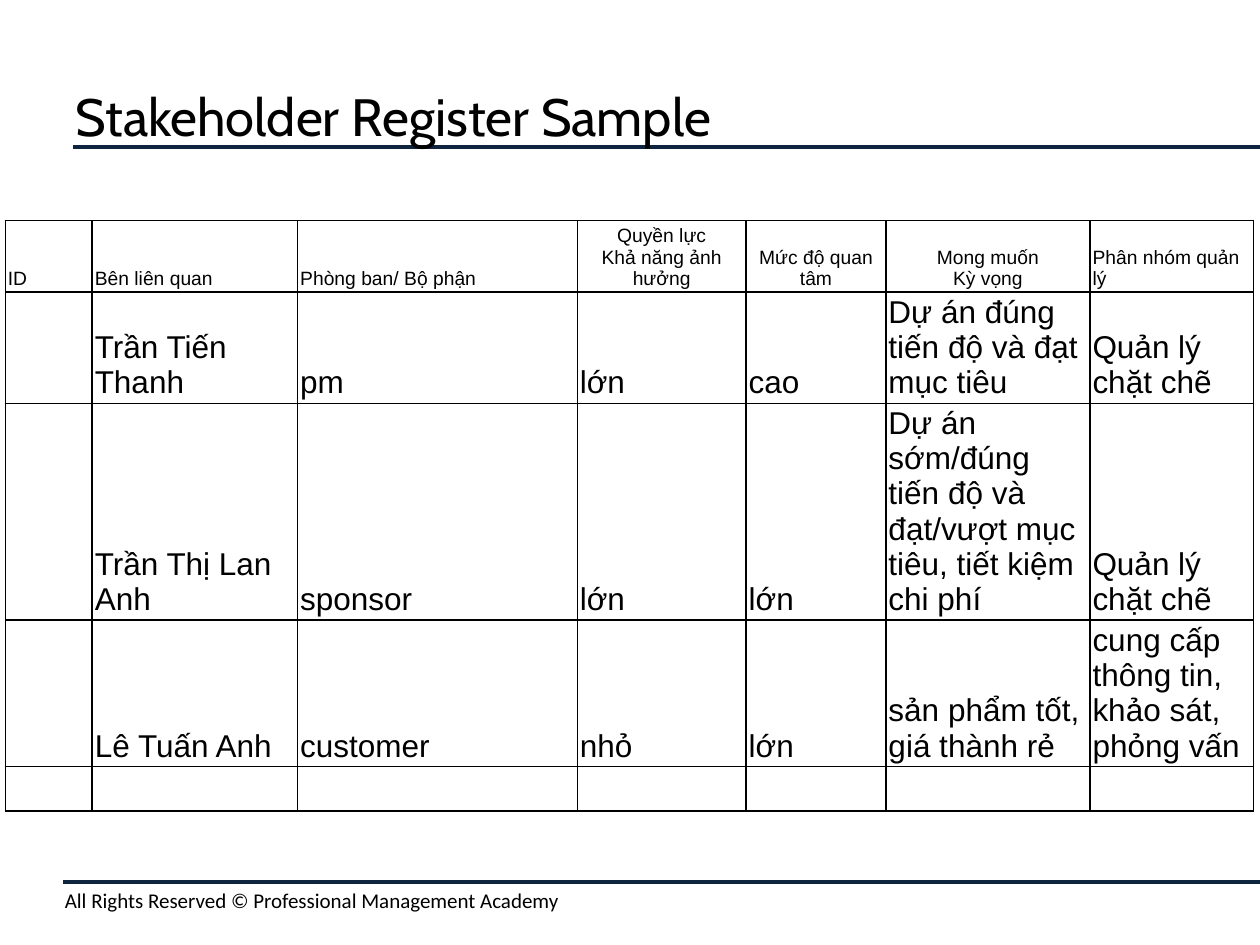
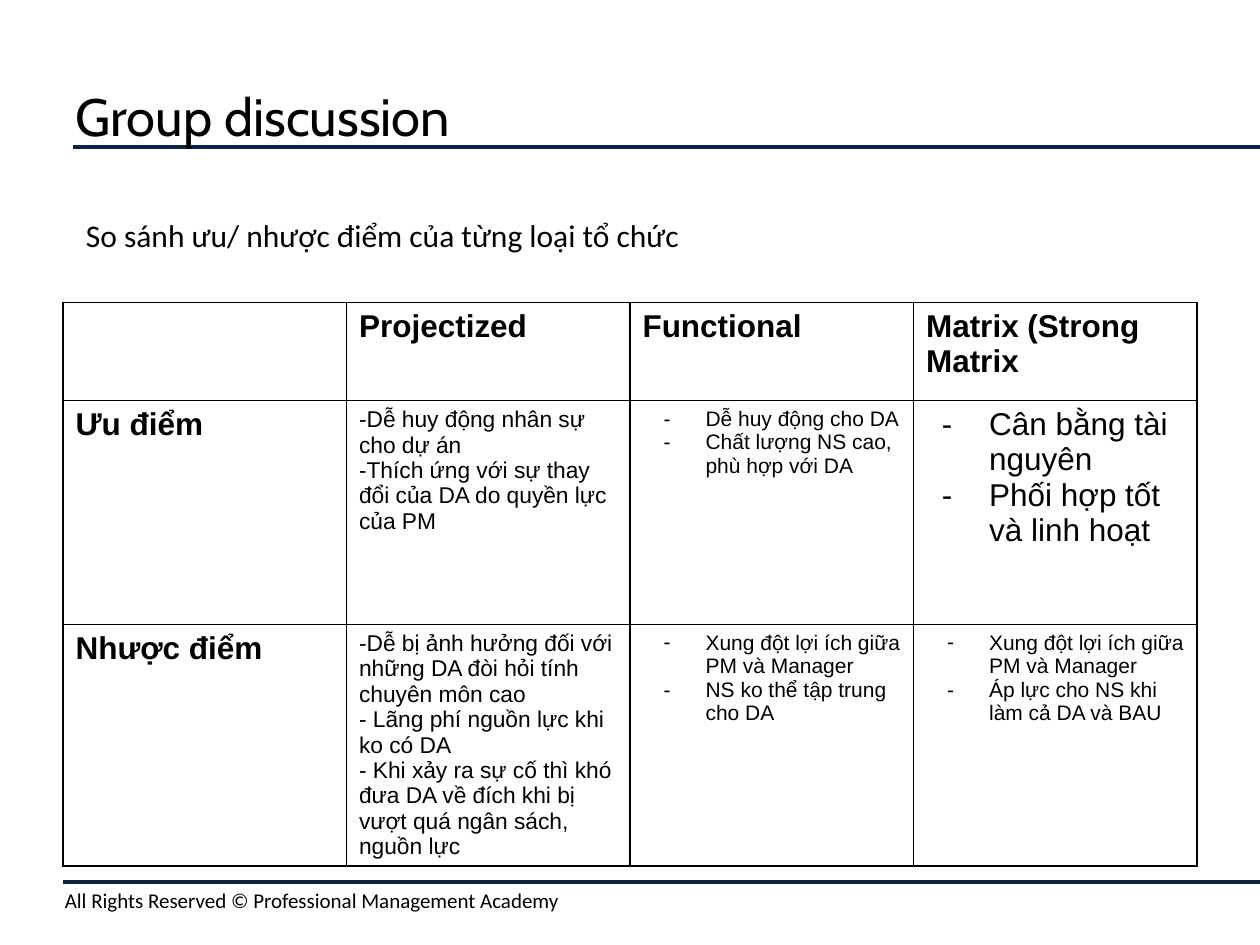
"""Build two project stakeholder slides with shared title, rules and footer."""
from dataclasses import dataclass

import lxml.etree
import pptx
import pptx.dml.color
import pptx.enum.shapes
import pptx.enum.text
import pptx.oxml
import pptx.oxml.ns
import pptx.util

Pt = pptx.util.Pt
Anchor = pptx.enum.text.MSO_ANCHOR
Align = pptx.enum.text.PP_ALIGN
NAVY = "0F243E"
BLACK = "000000"
PAGE_WIDTH = 720
PAGE_HEIGHT = 540
TITLE_LAYOUT = 5
FOOTER = "All Rights Reserved © Professional Management Academy"


@dataclass(frozen=True)
class Rule:
    left: float
    top: float


@dataclass(frozen=True)
class TextStyle:
    size: float
    font: str = "Arial"
    bold: bool = False
    align: Align = Align.LEFT
    dash_hang: float = 0


@dataclass(frozen=True)
class CellText:
    paragraphs: tuple[str, ...]
    style: TextStyle


@dataclass(frozen=True)
class Grid:
    left: float
    top: float
    widths: tuple[float, ...]
    heights: tuple[float, ...]
    margins: tuple[float, float]
    anchor: Anchor
    rows: list[list[CellText | None]]


RULES = (Rule(42, 84), Rule(36, 504))
TITLE = TextStyle(30, "Cabin")
NOTE = TextStyle(18, "Calibri")
SMALL_PRINT = TextStyle(12, "Calibri")
LABEL = TextStyle(11)
CENTRED_LABEL = TextStyle(11, align=Align.CENTER)
BODY = TextStyle(18)
HEADING = TextStyle(18, bold=True)
TYPED_LIST = TextStyle(13)
DASH_LIST = TextStyle(12, dash_hang=24)
LARGE_DASH_LIST = TextStyle(18, dash_hang=27)


def color(value: str) -> pptx.dml.color.RGBColor:
    """Turn a hex string into a colour."""
    return pptx.dml.color.RGBColor.from_string(value)


def add_child(parent: lxml.etree._Element, tag: str, **attributes: str) -> lxml.etree._Element:
    """Append a drawing element with its attributes."""
    child = lxml.etree.SubElement(parent, pptx.oxml.ns.qn(tag))
    for name, value in attributes.items():
        child.set(name, value)
    return child


def add_dash(para: pptx.text.text._Paragraph, hang: float) -> None:
    """Give a paragraph a black dash with a hanging indent."""
    properties = para._p.get_or_add_pPr()
    properties.set("marL", str(Pt(36)))
    properties.set("indent", str(-Pt(hang)))
    add_child(add_child(properties, "a:buClr"), "a:srgbClr", val=BLACK)
    add_child(properties, "a:buFont", typeface="Arial")
    add_child(properties, "a:buChar", char="-")


def write(frame: pptx.text.text.TextFrame, paragraphs: tuple[str, ...], style: TextStyle) -> None:
    """Write styled paragraphs, breaking lines at newlines."""
    for index, text in enumerate(paragraphs):
        para = frame.add_paragraph() if index else frame.paragraphs[0]
        para.alignment = style.align
        if style.dash_hang:
            add_dash(para, style.dash_hang)
        for number, line in enumerate(text.split("\n")):
            if number:
                para.add_line_break()
            span = para.add_run()
            span.text = line
            span.font.size = Pt(style.size)
            span.font.name = style.font
            span.font.bold = style.bold
            span.font.color.rgb = color(BLACK)


def add_text(page: pptx.slide.Slide, left: float, top: float, width: float, height: float,
             text: str, style: TextStyle) -> None:
    """Add a wrapping text box."""
    box = page.shapes.add_textbox(Pt(left), Pt(top), Pt(width), Pt(height))
    box.text_frame.word_wrap = True
    write(box.text_frame, (text,), style)


def add_rule(page: pptx.slide.Slide, rule: Rule) -> None:
    """Draw a navy rule running to the right edge."""
    line = page.shapes.add_connector(pptx.enum.shapes.MSO_CONNECTOR.STRAIGHT, Pt(rule.left),
                                     Pt(rule.top), Pt(PAGE_WIDTH), Pt(rule.top))
    line.line.color.rgb = color(NAVY)
    line.line.width = Pt(2)
    add_child(line._element.spPr, "a:effectLst")


def add_page(deck: pptx.presentation.Presentation, heading: str) -> pptx.slide.Slide:
    """Add a slide with its rules, footer and title."""
    page = deck.slides.add_slide(deck.slide_layouts[TITLE_LAYOUT])
    for rule in RULES:
        add_rule(page, rule)
    add_text(page, 30, 503.5, 690, 21.6, FOOTER, SMALL_PRINT)
    title = page.shapes.title
    title.left, title.top, title.width, title.height = Pt(36), Pt(36), Pt(648), Pt(60)
    title.text_frame.auto_size = pptx.enum.text.MSO_AUTO_SIZE.NONE
    title.text_frame.vertical_anchor = Anchor.MIDDLE
    write(title.text_frame, (heading,), TITLE)
    title.element.getparent().append(title.element)
    return page


def add_borders(cell: pptx.table._Cell) -> None:
    """Outline a cell with thin black lines."""
    properties = cell._tc.get_or_add_tcPr()
    for side in ("a:lnL", "a:lnR", "a:lnT", "a:lnB"):
        line = add_child(properties, side, w=str(Pt(1)))
        add_child(add_child(line, "a:solidFill"), "a:srgbClr", val=BLACK)


def add_grid(page: pptx.slide.Slide, grid: Grid) -> None:
    """Draw a bordered table without fills."""
    table = page.shapes.add_table(len(grid.heights), len(grid.widths), Pt(grid.left), Pt(grid.top),
                                  Pt(sum(grid.widths)), Pt(sum(grid.heights))).table
    table.first_row = table.horz_banding = False
    for column, width in zip(table.columns, grid.widths):
        column.width = Pt(width)
    for row, height, contents in zip(table.rows, grid.heights, grid.rows):
        row.height = Pt(height)
        for cell, content in zip(row.cells, contents):
            cell.margin_left = cell.margin_right = Pt(grid.margins[0])
            cell.margin_top = cell.margin_bottom = Pt(grid.margins[1])
            cell.vertical_anchor = grid.anchor
            add_borders(cell)
            cell.fill.background()
            if content:
                write(cell.text_frame, content.paragraphs, content.style)


def add_register(deck: pptx.presentation.Presentation) -> None:
    """Add the stakeholder register slide."""
    page = add_page(deck, "Stakeholder Register Sample")
    labels = [
        ("ID", LABEL),
        ("Bên liên quan", LABEL),
        ("Phòng ban/ Bộ phận", LABEL),
        ("Quyền lực\nKhả năng ảnh hưởng", CENTRED_LABEL),
        ("Mức độ quan tâm", CENTRED_LABEL),
        ("Mong muốn\nKỳ vọng", CENTRED_LABEL),
        ("Phân nhóm quản lý", LABEL),
    ]
    stakeholders = [
        ("Trần Tiến Thanh", "pm", "lớn", "cao",
         "Dự án đúng tiến độ và đạt mục tiêu", "Quản lý chặt chẽ"),
        ("Trần Thị Lan Anh", "sponsor", "lớn", "lớn",
         "Dự án sớm/đúng tiến độ và đạt/vượt mục tiêu, tiết kiệm chi phí", "Quản lý chặt chẽ"),
        ("Lê Tuấn Anh", "customer", "nhỏ", "lớn",
         "sản phẩm tốt, giá thành rẻ", "cung cấp thông tin, khảo sát, phỏng vấn"),
    ]
    rows = [[CellText((text,), style) for text, style in labels]]
    rows += [[None] + [CellText((text,), BODY) for text in person] for person in stakeholders]
    rows.append([None] * len(labels))
    add_grid(page, Grid(3, 126, (49.7, 117.4, 159.8, 96.5, 79.9, 116.6, 93.6),
                        (41, 62.6, 123.4, 83, 25.4), (1.5, 1.5), Anchor.BOTTOM, rows))


def add_discussion(deck: pptx.presentation.Presentation) -> None:
    """Add the organisation comparison slide."""
    page = add_page(deck, "Group discussion")
    headings = ("Projectized", "Functional", "Matrix (Strong Matrix")
    rows = [
        [None] + [CellText((text,), HEADING) for text in headings],
        [
            CellText(("Ưu điểm",), HEADING),
            CellText(("-Dễ huy động nhân sự cho dự án",
                      "-Thích ứng với sự thay đổi của DA do quyền lực của PM"), TYPED_LIST),
            CellText(("Dễ huy động cho DA", "Chất lượng NS cao, phù hợp với DA"), DASH_LIST),
            CellText(("Cân bằng tài nguyên", "Phối hợp tốt và linh hoạt"), LARGE_DASH_LIST),
        ],
        [
            CellText(("Nhược điểm",), HEADING),
            CellText(("-Dễ bị ảnh hưởng đối với những DA đòi hỏi tính chuyên môn cao",
                      "- Lãng phí nguồn lực khi ko có DA",
                      "- Khi xảy ra sự cố thì khó đưa DA về đích khi bị vượt quá ngân sách, "
                      "nguồn lực"), TYPED_LIST),
            CellText(("Xung đột lợi ích giữa PM và Manager", "NS ko thể tập trung cho DA"),
                     DASH_LIST),
            CellText(("Xung đột lợi ích giữa PM và Manager",
                      "Áp lực cho NS khi làm cả DA và BAU"), DASH_LIST),
        ],
    ]
    add_grid(page, Grid(36, 173, (162,) * 4, (56, 128, 138), (7.2, 3.6), Anchor.TOP, rows))
    add_text(page, 42, 120, 397, 29, "So sánh ưu/ nhược điểm của từng loại tổ chức", NOTE)


def main() -> None:
    """Build and save the deck."""
    deck = pptx.Presentation()
    deck.slide_width, deck.slide_height = Pt(PAGE_WIDTH), Pt(PAGE_HEIGHT)
    add_register(deck)
    add_discussion(deck)
    deck.save("out.pptx")


if __name__ == "__main__":
    main()
